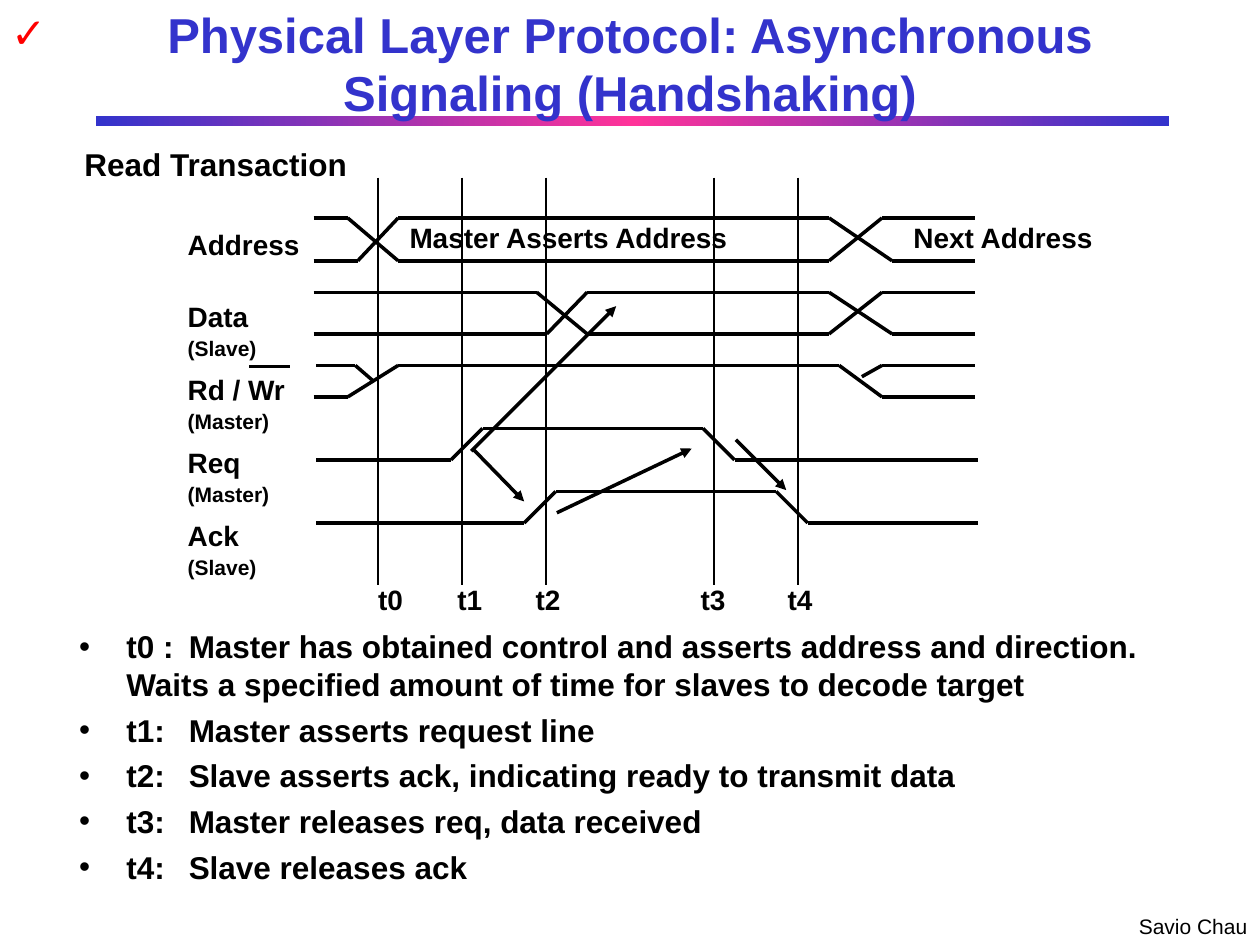
from copy import deepcopy
from itertools import pairwise
from lxml import etree
from pptx import Presentation
from pptx.dml.color import RGBColor
from pptx.enum.shapes import MSO_CONNECTOR, MSO_SHAPE
from pptx.enum.text import MSO_ANCHOR, PP_ALIGN
from pptx.oxml.ns import qn
from pptx.util import Inches, Pt

STRAIGHT = MSO_CONNECTOR.STRAIGHT
RECTANGLE = MSO_SHAPE.RECTANGLE
MIDDLE = MSO_ANCHOR.MIDDLE
CENTER = PP_ALIGN.CENTER
COLORS = {"ink": "000000", "title": "3333CC", "accent": "FF3399", "tick": "FF0000"}

deck = Presentation()
deck.slide_width, deck.slide_height = Inches(10), Inches(7.5)
CELL = deck.slide_width / 100
page = deck.slides.add_slide(deck.slide_layouts[6])


def trace(points, weight=2, arrow=False):
    for start, end in pairwise(points):
        line = page.shapes.add_connector(
            STRAIGHT, *(round(value * CELL) for value in start + end))
        line.line.width = Pt(weight)
        line.line.color.rgb = RGBColor.from_string(COLORS["ink"])
        etree.SubElement(line._element.spPr, qn("a:effectLst"))
        if arrow:
            etree.SubElement(line.line._get_or_add_ln(), qn("a:tailEnd"), type="triangle")


def write(place, rows, color="ink", bold=True, inset=0.7, wrap=False,
          spacing=None, tabs=(), bullet=False):
    box = page.shapes.add_textbox(*(round(value * CELL) for value in place))
    frame = box.text_frame
    frame.word_wrap = wrap
    frame.margin_left = frame.margin_right = round(inset * CELL)
    frame.margin_top = frame.margin_bottom = round(inset / 2 * CELL)
    for number, (text, size, before) in enumerate(rows):
        para = frame.add_paragraph() if number else frame.paragraphs[0]
        para.text = text
        para.space_before = Pt(before)
        para.line_spacing = spacing
        props = para._p.get_or_add_pPr()
        if bullet:
            props.set("marL", str(round(3.75 * CELL)))
            props.set("indent", str(round(-3.75 * CELL)))
            etree.SubElement(props, qn("a:buFont"), typeface="Arial")
            etree.SubElement(props, qn("a:buChar"), char="•")
        if tabs:
            stops = etree.SubElement(props, qn("a:tabLst"))
            for stop in tabs:
                etree.SubElement(stops, qn("a:tab"), pos=str(round(stop * CELL)), algn="l")
        para.font.name = "Arial"
        para.font.size = Pt(size)
        para.font.bold = bold
        para.font.color.rgb = RGBColor.from_string(COLORS[color])
    return frame


bar = page.shapes.add_shape(
    RECTANGLE, *(round(value * CELL) for value in (7.6, 9.2, 85.2, 0.8)))
bar.shadow.inherit = False
bar.line.fill.background()
bar.fill.gradient()
bar.fill.gradient_angle = 0
first_stop = bar.fill.gradient_stops[0]._gs
first_stop.addnext(deepcopy(first_stop))
for stop, name, position in zip(
        bar.fill.gradient_stops, ("title", "accent", "title"), (0, 0.5, 1)):
    stop.color.rgb = RGBColor.from_string(COLORS[name])
    stop.position = position

title = write((3.5, 0, 93, 10),
              [("Physical Layer Protocol: Asynchronous Signaling (Handshaking)", 28, 0)],
              color="title", inset=1, wrap=True)
title.vertical_anchor = MIDDLE
title.paragraphs[0].alignment = CENTER
write((-0.1, 0, 4.7, 5), [("✓", 24, 0)], color="tick", inset=1)
write((89.4, 72, 10.6, 3), [("Savio Chau", 12, 0)], bold=False, inset=1)

for place, text, size in [((6, 11.6, 22.4, 3.1), "Read Transaction", 18),
                          ((31.8, 17.6, 26.8, 2.8), "Master Asserts Address", 16),
                          ((71.8, 17.6, 15.7, 2.8), "Next Address", 16)]:
    write(place, [(text, size, 0)], spacing=0.85)

signals = [("Address", 16, 0)]
for name, owner, gap in [("Data", "(Slave)", 21.9), ("Rd / Wr", "(Master)", 6.6),
                         ("Req", "(Master)", 6.6), ("Ack", "(Slave)", 6.6)]:
    signals += [(name, 16, gap), (owner, 12, 1.5)]
write((14.2, 17.7, 10.3, 27.8), signals)
trace([(19.8, 29.1), (23, 29.1)])

for column in (0, 1, 2, 4, 5):
    x = 30 + column * 20 / 3
    trace([(x, 14.1), (x, 46.4)], weight=1)
write((29.3, 46.3, 35.9, 2.8), [("t0\tt1\tt2\tt3\tt4", 16, 0)],
      spacing=0.85, tabs=(6.3, 12.5, 25.6, 32.5))

for high, low, cross in [(17.3, 20.7, 27.6), (23.2, 26.5, 42.6)]:
    trace([(24.9, high), (cross, high), (cross + 4, low),
           (65.8, low), (70, high), (77.4, high)])
    trace([(24.9, low), (cross + 0.8, low), (cross + 4, high),
           (65.8, high), (70.8, low), (77.4, low)])

trace([(25.1, 29), (28.2, 29), (29.7, 30.3)])
trace([(24.9, 31.5), (27.6, 31.5), (31.6, 29), (66.6, 29), (70, 31.5), (77.4, 31.5)])
trace([(68.4, 29.9), (70, 29), (77.4, 29)])

for low, rise, fall in [(36.5, 35.8, 55.8), (41.5, 41.6, 61.6)]:
    trace([(25.1, low), (rise, low), (rise + 2.5, low - 2.5),
           (fall, low - 2.5), (fall + 2.5, low), (77.6, low)])

for start, end in [((37.6, 35.7), (41.6, 39.8)), ((44.2, 40.7), (54.9, 35.6)),
                   ((58.4, 34.9), (62.4, 38.9)), ((37.4, 35.8), (48.9, 24.3))]:
    trace([start, end], arrow=True)

steps = [
    "t0 : \tMaster has obtained control and asserts address and direction."
    "\tWaits a specified amount of time for slaves to decode target",
    "t1: \tMaster asserts request line",
    "t2: \tSlave asserts ack, indicating ready to transmit data",
    "t3: \tMaster releases req, data received",
    "t4:\tSlave releases ack",
]
write((5.3, 49.3, 89.3, 22.6),
      [(step, 18, 4.5 if number else 0) for number, step in enumerate(steps)],
      inset=1, wrap=True, tabs=(8.7, *range(10, 80, 10)), bullet=True)

deck.save("out.pptx")
